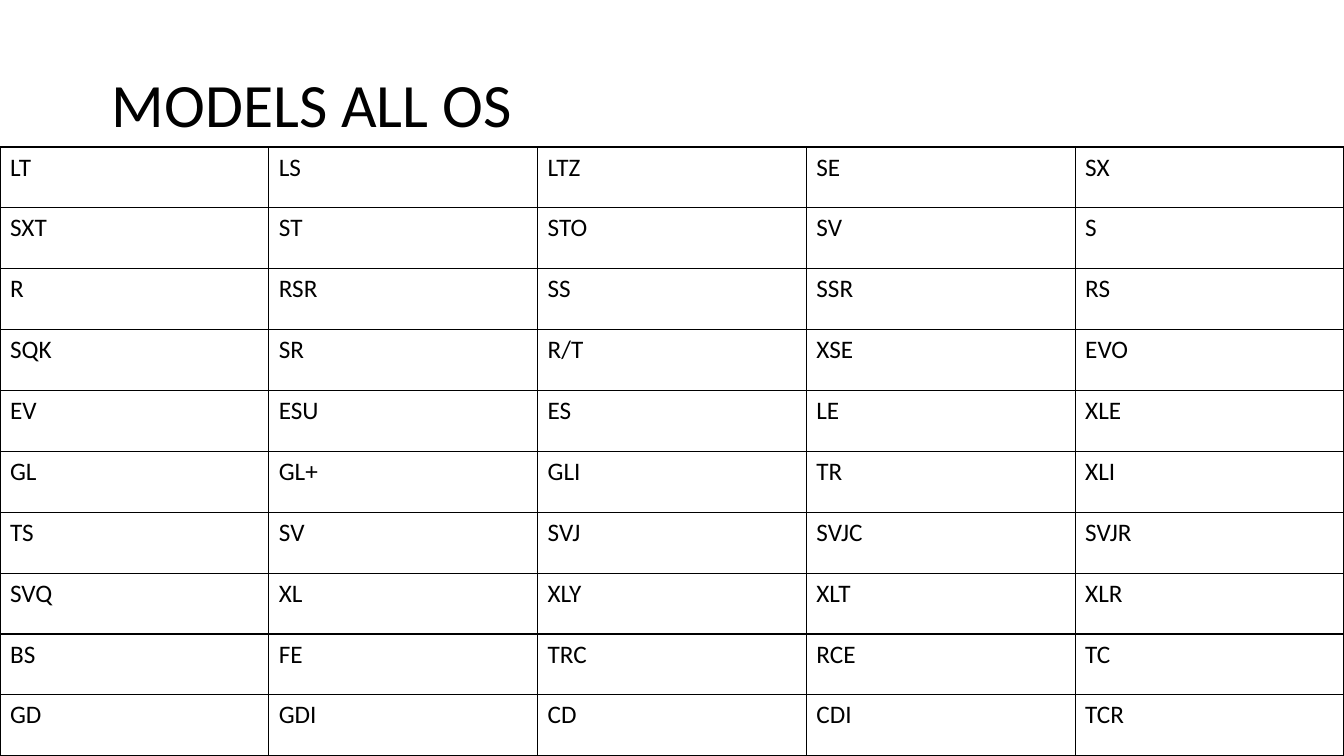
from dataclasses import dataclass

from lxml import etree
from pptx import Presentation
from pptx.dml.color import RGBColor
from pptx.enum.text import MSO_ANCHOR, MSO_AUTO_SIZE, PP_ALIGN
from pptx.oxml.ns import qn
from pptx.slide import Slide
from pptx.table import _Cell
from pptx.text.text import _Paragraph
from pptx.util import Emu, Pt

LEFT = PP_ALIGN.LEFT
MIDDLE = MSO_ANCHOR.MIDDLE
NO_AUTOFIT = MSO_AUTO_SIZE.NONE
TITLE_ONLY_LAYOUT = 5
EMU_PER_PX = 9525


@dataclass(frozen=True)
class Theme:
    font: str = "Calibri"
    ink: str = "000000"
    paper: str = "FFFFFF"
    title_size: int = 44
    cell_size: int = 18
    border_width: int = 1


@dataclass(frozen=True)
class Box:
    left: int
    top: int
    width: int
    height: int

    def emu(self) -> tuple[Emu, Emu, Emu, Emu]:
        return px(self.left), px(self.top), px(self.width), px(self.height)


THEME = Theme()
SLIDE_BOX = Box(0, 0, 1280, 720)
TITLE_BOX = Box(97, 65, 920, 74)
TABLE_BOX = Box(0, 140, 1280, 580)

TITLE = "MODELS ALL OS"
MODELS = (
    ("LT", "LS", "LTZ", "SE", "SX"),
    ("SXT", "ST", "STO", "SV", "S"),
    ("R", "RSR", "SS", "SSR", "RS"),
    ("SQK", "SR", "R/T", "XSE", "EVO"),
    ("EV", "ESU", "ES", "LE", "XLE"),
    ("GL", "GL+", "GLI", "TR", "XLI"),
    ("TS", "SV", "SVJ", "SVJC", "SVJR"),
    ("SVQ", "XL", "XLY", "XLT", "XLR"),
    ("BS", "FE", "TRC", "RCE", "TC"),
    ("GD", "GDI", "CD", "CDI", "TCR"),
)


def px(length: int) -> Emu:
    return Emu(length * EMU_PER_PX)


def add_span(para: _Paragraph, text: str, size: int) -> None:
    para.alignment = LEFT
    span = para.add_run()
    span.text = text
    span.font.name = THEME.font
    span.font.size = Pt(size)
    span.font.color.rgb = RGBColor.from_string(THEME.ink)


def add_borders(cell: _Cell) -> None:
    properties = cell._tc.get_or_add_tcPr()
    for side in ("lnL", "lnR", "lnT", "lnB"):
        line = etree.SubElement(
            properties, qn(f"a:{side}"), w=str(Pt(THEME.border_width))
        )
        fill = etree.SubElement(line, qn("a:solidFill"))
        etree.SubElement(fill, qn("a:srgbClr"), val=THEME.ink)


def format_title(page: Slide) -> None:
    title = page.shapes.title
    title.left, title.top, title.width, title.height = TITLE_BOX.emu()
    frame = title.text_frame
    frame.auto_size = NO_AUTOFIT
    frame.word_wrap = True
    frame.vertical_anchor = MIDDLE
    para = frame.paragraphs[0]
    para.line_spacing = 0.9
    add_span(para, TITLE, THEME.title_size)


def add_models_table(page: Slide) -> None:
    row_count, column_count = len(MODELS), len(MODELS[0])
    table = page.shapes.add_table(row_count, column_count, *TABLE_BOX.emu()).table
    table.first_row = False
    table.horz_banding = False
    for column in table.columns:
        column.width = px(TABLE_BOX.width // column_count)
    for row, models in zip(table.rows, MODELS):
        row.height = px(TABLE_BOX.height // row_count)
        for cell, model in zip(row.cells, models):
            add_borders(cell)
            cell.fill.solid()
            cell.fill.fore_color.rgb = RGBColor.from_string(THEME.paper)
            add_span(cell.text_frame.paragraphs[0], model, THEME.cell_size)


def main() -> None:
    deck = Presentation()
    deck.slide_width = px(SLIDE_BOX.width)
    deck.slide_height = px(SLIDE_BOX.height)
    page = deck.slides.add_slide(deck.slide_layouts[TITLE_ONLY_LAYOUT])
    format_title(page)
    add_models_table(page)
    deck.save("out.pptx")


if __name__ == "__main__":
    main()
